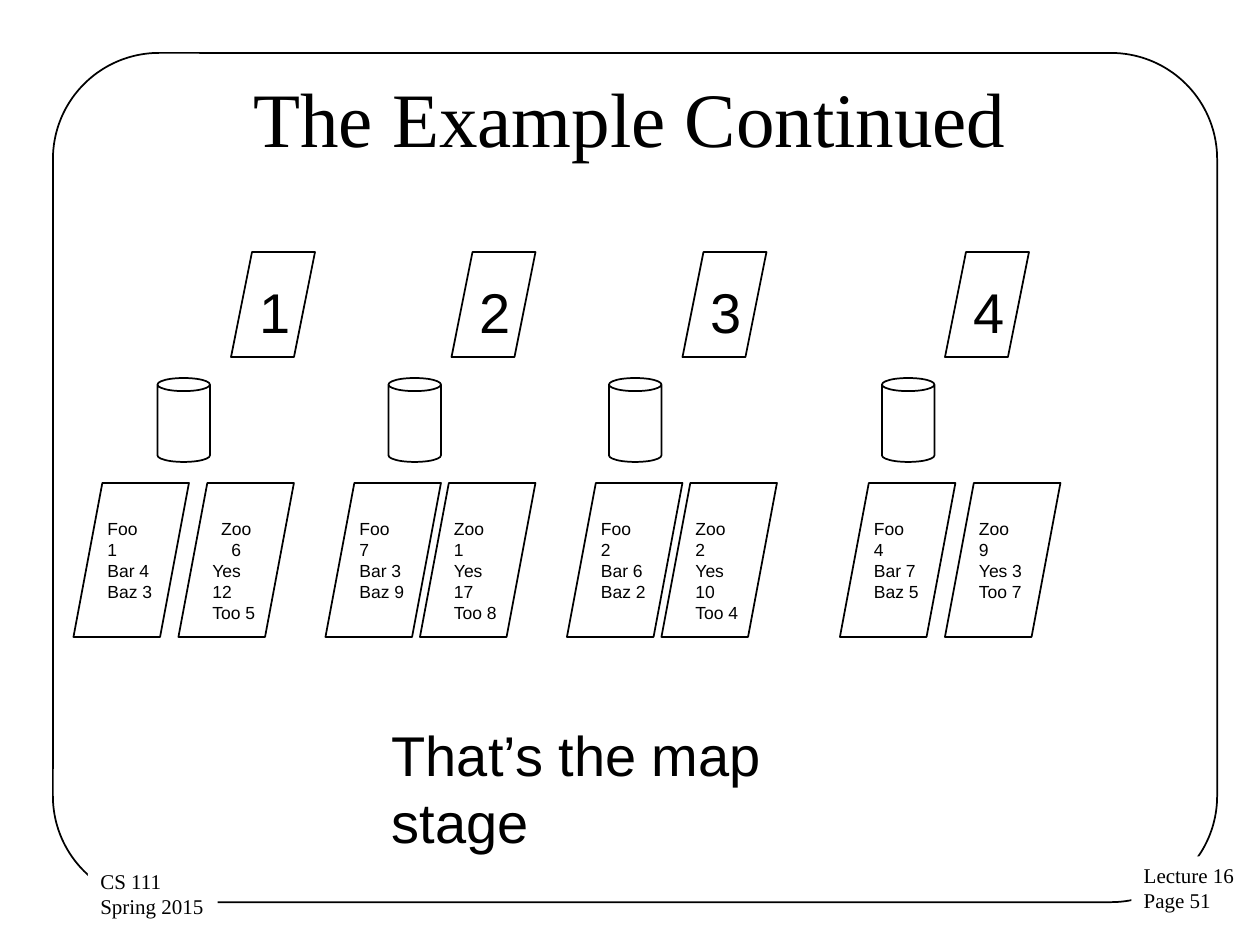
from pptx import Presentation
from pptx.dml.color import RGBColor
from pptx.enum.shapes import MSO_SHAPE as SHAPE
from pptx.enum.text import MSO_ANCHOR as ANCHOR, PP_ALIGN as ALIGN
from pptx.util import Pt

COLORS = {"ink": "000000", "paper": "FFFFFF"}
SERIF = {"name": "Times New Roman"}
SANS = {"name": "Arial"}
TITLE = {**SERIF, "size": Pt(44)}
FOOTER = {**SERIF, "size": Pt(12)}
LARGE = {**SANS, "size": Pt(32)}
SMALL = {**SANS, "size": Pt(10)}

# Left edges of each node's number, disk and two output sheets, then the counts
NODES = [
    (132, 90, (42, 102), ("Foo\v1", "Bar 4", "Baz 3"), ("Zoo\v6", "Yes 12", "Too 5")),
    (258, 222, (186, 240), ("Foo\v7", "Bar 3", "Baz 9"), ("Zoo\v1", "Yes 17", "Too 8")),
    (390, 348, (324, 378), ("Foo\v2", "Bar 6", "Baz 2"), ("Zoo\v2", "Yes 10", "Too 4")),
    (540, 504, (480, 540), ("Foo\v4", "Bar 7", "Baz 5"), ("Zoo\v9", "Yes 3", "Too 7")),
]


def color(key):
    return RGBColor.from_string(COLORS[key])


def write(sp, lines, font, align=ALIGN.LEFT, anchor=ANCHOR.TOP, wrap=True):
    tf = sp.text_frame
    tf.word_wrap = wrap
    tf.vertical_anchor = anchor
    for i, line in enumerate(lines):
        p = tf.add_paragraph() if i else tf.paragraphs[0]
        p.text = line
        p.alignment = align
        for r in p.runs:
            for key, value in font.items():
                setattr(r.font, key, value)
            r.font.color.rgb = color("ink")


def add_outline(slide, kind, box, adj):
    sp = slide.shapes.add_shape(kind, *map(Pt, box))
    sp.shadow.inherit = False
    sp.adjustments[0] = adj
    sp.fill.background()
    sp.line.color.rgb = color("ink")
    sp.line.width = Pt(1)
    return sp


def add_text(slide, box, lines, font, **options):
    sp = slide.shapes.add_textbox(*map(Pt, box))
    write(sp, lines, font, **options)
    return sp


def add_footer(slide, box, lines):
    sp = add_text(slide, box, lines, FOOTER, wrap=False)
    sp.fill.solid()
    sp.fill.fore_color.rgb = color("paper")


def add_frame(slide, box):
    x, y, w, h = box
    add_outline(slide, SHAPE.ROUNDED_RECTANGLE, box, 0.125)
    # Footers cover the lower corners of the frame
    add_footer(slide, (x + w - 49, y + h - 26.2, 67, 36.7), ("Lecture 16", "Page 51"))
    add_footer(slide, (x + 20, y + h - 22.6, 74.2, 36.7), ("CS 111", "Spring 2015"))


def add_node(slide, top, number, node):
    number_x, disk_x, sheet_xs, *counts = node
    sp = add_outline(slide, SHAPE.PARALLELOGRAM, (number_x, top, 48, 60), 0.25)
    write(sp, [str(number)], LARGE, align=ALIGN.CENTER)
    add_outline(slide, SHAPE.CAN, (disk_x, top + 72, 30, 48), 0.25)
    # Output sheets with the word counts
    for x, lines in zip(sheet_xs, counts):
        sp = add_outline(slide, SHAPE.PARALLELOGRAM, (x, top + 132, 66, 88), 0.25)
        write(sp, lines, SMALL)
        if lines[0] == "Zoo\v6":
            sp.text_frame.paragraphs[0].alignment = ALIGN.CENTER


def main():
    prs = Presentation()
    prs.slide_width, prs.slide_height = Pt(720), Pt(540)
    slide = prs.slides.add_slide(prs.slide_layouts[6])
    add_frame(slide, (30.25, 30.25, 665.25, 485.25))
    add_text(slide, (36, 21.6, 648, 90), ["The Example Continued"], TITLE,
             align=ALIGN.CENTER, anchor=ANCHOR.MIDDLE)
    for number, node in enumerate(NODES, 1):
        add_node(slide, 144, number, node)
    add_text(slide, (216.7, 408.2, 280.8, 46), ["That’s the map stage"], LARGE)
    prs.save("out.pptx")


if __name__ == "__main__":
    main()
